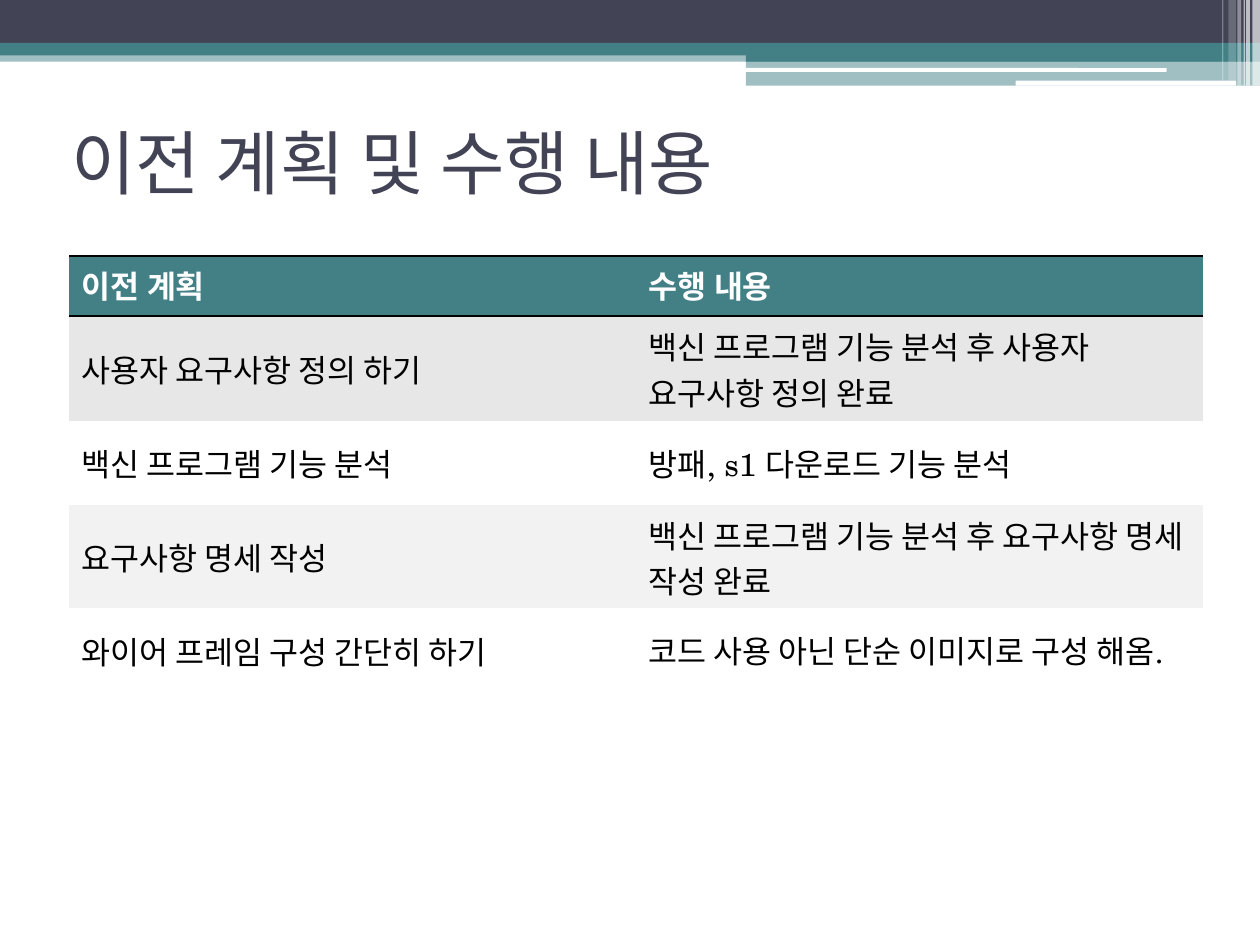
"""Builds a slide that compares earlier plans with the work done."""
import pptx
import pptx.dml.color
import pptx.enum.shapes
import pptx.enum.text
import pptx.oxml
import pptx.oxml.ns
import pptx.util

Inches = pptx.util.Inches
Shape = pptx.enum.shapes.MSO_SHAPE
Anchor = pptx.enum.text.MSO_ANCHOR
NAVY, TEAL, WHITE, BLACK = "424456", "438086", "FFFFFF", "000000"


def color(code):
    return pptx.dml.color.RGBColor.from_string(code)


def element(xml):
    space = pptx.oxml.ns.nsdecls("a")
    return pptx.oxml.parse_xml(xml.replace(" ", f" {space} ", 1))


class Deck:
    def __init__(self):
        self.file = pptx.Presentation()
        self.file.slide_width, self.file.slide_height = Inches(10), Inches(7.5)
        self.slide = self.file.slides.add_slide(self.file.slide_layouts[6])
        self.head, self.body = "Lato", "TeX Gyre Schola"

    def bar(self, box, fill, alpha=100, kind=Shape.RECTANGLE):
        shape = self.slide.shapes.add_shape(kind, *map(Inches, box))
        shape.shadow.inherit = False
        shape.line.fill.background()
        shape.fill.solid()
        shape.fill.fore_color.rgb = color(fill)
        if alpha < 100:
            tint = shape.fill._xPr.find(".//" + pptx.oxml.ns.qn("a:srgbClr"))
            tint.append(element(f'<a:alpha val="{alpha * 1000}"/>'))

    def label(self, frame, text, face, size, ink, bold=False):
        frame.word_wrap = True
        line = frame.paragraphs[0]
        line.text = text
        font = line.font
        font.name, font.size, font.bold = face, pptx.util.Pt(size), bold
        font.color.rgb = color(ink)

    def title(self, box, text):
        frame = self.slide.shapes.add_textbox(*map(Inches, box)).text_frame
        frame.vertical_anchor = Anchor.MIDDLE
        self.label(frame, text, self.head, 40, NAVY)

    def border(self, cell, sides):
        props = cell._tc.get_or_add_tcPr()
        for spot, side in enumerate("LRTB"):
            if side in sides:
                fill = f'<a:solidFill><a:srgbClr val="{BLACK}"/></a:solidFill>'
            else:
                fill = "<a:noFill/>"
            props.insert(spot, element(f'<a:ln{side} w="12192">{fill}</a:ln{side}>'))

    def table(self, box, rows, heights, fills):
        table = self.slide.shapes.add_table(
            len(rows), len(rows[0]), *map(Inches, box)).table
        table.first_row = table.horz_banding = False
        for r, texts in enumerate(rows):
            table.rows[r].height = Inches(heights[r])
            for c, text in enumerate(texts):
                cell, top = table.cell(r, c), r == 0
                cell.vertical_anchor = Anchor.TOP if top else Anchor.MIDDLE
                cell.fill.solid()
                cell.fill.fore_color.rgb = color(fills[r])
                self.border(cell, ("TB", "T")[r] if r < 2 else "")
                self.label(cell.text_frame, text, self.body, 18,
                           WHITE if top else BLACK, top)


def main():
    deck = Deck()
    deck.bar((0, 0.4, 10, 0.09), TEAL, 50)
    deck.bar((0, 0, 10, 0.34), NAVY)
    deck.bar((0, 0.34, 10, 0.1), TEAL)
    deck.bar((5.92, 0.39, 4.08, 0.1), TEAL)
    deck.bar((5.92, 0.48, 4.08, 0.2), TEAL, 50)
    for box in (5.91, 0.54, 3.35, 0.03), (8.06, 0.64, 1.75, 0.04):
        deck.bar(box, WHITE, kind=Shape.ROUNDED_RECTANGLE)
    for left, width, height, alpha in (
            (9.94, 0.06, 0.68, 65), (9.89, 0.03, 0.68, 65),
            (9.87, 0.01, 0.68, 60), (9.82, 0.03, 0.68, 40),
            (9.75, 0.06, 0.64, 20), (9.7, 0.01, 0.64, 30)):
        deck.bar((left, 0, width, height), WHITE, alpha)
    deck.title((0.47, 0.7, 9, 1.17), "이전 계획 및 수행 내용")
    rows = (
        ("이전 계획", "수행 내용"),
        ("사용자 요구사항 정의 하기",
         "백신 프로그램 기능 분석 후 사용자 요구사항 정의 완료"),
        ("백신 프로그램 기능 분석", "방패, s1 다운로드 기능 분석"),
        ("요구사항 명세 작성",
         "백신 프로그램 기능 분석 후 요구사항 명세 작성 완료"),
        ("와이어 프레임 구성 간단히 하기",
         "코드 사용 아닌 단순 이미지로 구성 해옴."),
    )
    deck.table((0.55, 2.03, 9, 3.47), rows, (0.48, 0.83, 0.67, 0.82, 0.67),
               (TEAL, "E7E7E7", WHITE, "F2F2F2", WHITE))
    deck.file.save("out.pptx")


if __name__ == "__main__":
    main()
